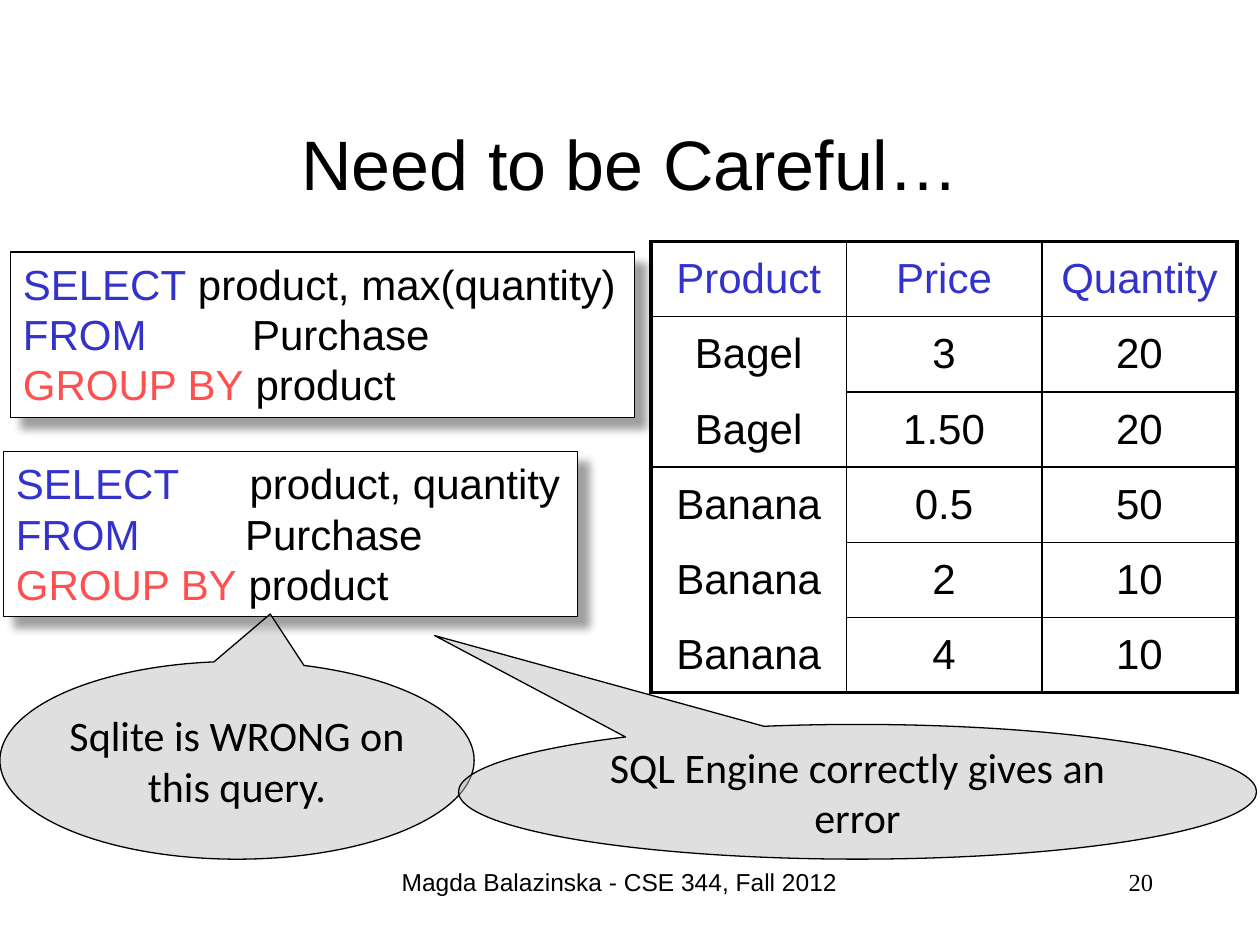
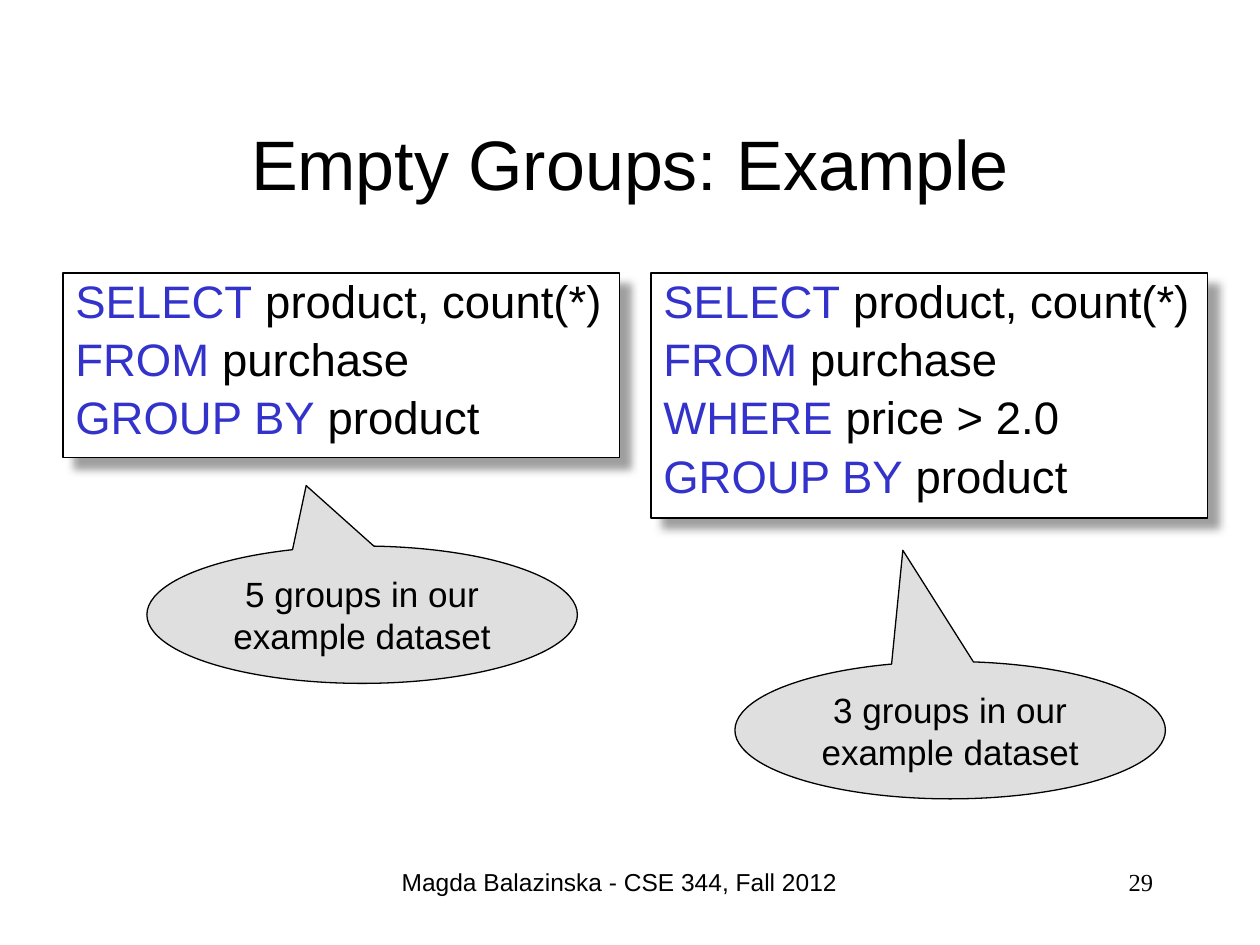
from lxml import etree
from pptx import Presentation
from pptx import util as u
from pptx.dml.color import RGBColor
from pptx.enum import shapes, text
from pptx.oxml import parse_xml
from pptx.oxml.ns import nsdecls, qn

Pt = u.Pt
BLACK = RGBColor(0x00, 0x00, 0x00)
WHITE = RGBColor(0xFF, 0xFF, 0xFF)
BLUE = RGBColor(0x33, 0x33, 0xCC)
RED = RGBColor(0xFF, 0x50, 0x50)
GRAY = RGBColor(0xC0, 0xC0, 0xC0)
CENTER, LEFT, RIGHT = text.PP_ALIGN.CENTER, text.PP_ALIGN.LEFT, text.PP_ALIGN.RIGHT
MIDDLE, TOP = text.MSO_ANCHOR.MIDDLE, text.MSO_ANCHOR.TOP
FOOTER = "Magda Balazinska - CSE 344, Fall 2012"
SHADOW = (
    f'<a:effectLst {nsdecls("a")}><a:outerShdw blurRad="{Pt(5)}" dist="{Pt(8.5)}" '
    'dir="2700000" algn="tl" rotWithShape="0"><a:srgbClr val="808080">'
    '<a:alpha val="75000"/></a:srgbClr></a:outerShdw></a:effectLst>'
)


def write(tf, content, size=24, font="Arial", color=BLACK, align=LEFT, anchor=TOP,
          line=None, before=0):
    """Fill a frame with one string, or with a list of paragraphs of (text, colour) runs."""
    paragraphs = [[(content, color)]] if isinstance(content, str) else content
    tf.word_wrap = True
    tf.vertical_anchor = anchor
    for i, runs in enumerate(paragraphs):
        p = tf.paragraphs[0] if i == 0 else tf.add_paragraph()
        p.alignment = align
        p.line_spacing = line
        p.space_before = Pt(before if i else 0)
        for words, run_color in runs:
            r = p.add_run()
            r.text = words
            r.font.size, r.font.name = Pt(size), font
            r.font.color.rgb = run_color


def add_outlined(s, kind, frame, fill):
    sp = s.shapes.add_shape(kind, *map(Pt, frame))
    sp.shadow.inherit = False
    sp.fill.solid()
    sp.fill.fore_color.rgb = fill
    sp.line.color.rgb = BLACK
    sp.line.width = Pt(0.75)
    return sp


# Query lines: keyword, its colour, the rest, tab stop in points (or None)
# Callouts: frame, tail position, words
SLIDES = [
    dict(
        title="Need to be Careful…", number="20",
        code=dict(size=24),
        queries=[
            ((6, 144, 356.5, 94.5), [("SELECT", BLUE, " product, max(quantity)", None),
                                     ("FROM", BLUE, "\tPurchase", 131),
                                     ("GROUP BY", RED, " product", None)]),
            ((2, 258, 328, 94.5), [("SELECT", BLUE, "\tproduct, quantity", 133.5),
                                   ("FROM", BLUE, "\tPurchase", 131),
                                   ("GROUP BY", RED, " product", None)]),
        ],
        speech=dict(size=24, font="Calibri"), inset=0,
        callouts=[
            ((0, 378, 271, 113), (0.07, -0.74), "Sqlite is WRONG on this query."),
            ((262, 414, 456, 77), (-0.53, -1.16), "SQL Engine correctly gives an error"),
        ],
    ),
    dict(
        title="Empty Groups: Example", number="29",
        code=dict(size=26, line=0.9, before=5.2),
        queries=[
            ((36, 156, 318, 105.5), [("SELECT", BLUE, " product, count(*)", None),
                                     ("FROM", BLUE, " purchase", None),
                                     ("GROUP BY", BLUE, " product", None)]),
            ((372, 156, 318, 140), [("SELECT", BLUE, " product, count(*)", None),
                                    ("FROM", BLUE, " purchase", None),
                                    ("WHERE", BLUE, " price > 2.0", None),
                                    ("GROUP BY", BLUE, " product", None)]),
        ],
        speech=dict(size=20), inset=None,
        callouts=[
            ((84, 312, 246, 78.5), (-0.13, -0.94), "5 groups in our example dataset"),
            ((420, 378, 246, 78.5), (-0.11, -1.31), "3 groups in our example dataset"),
        ],
    ),
]

PURCHASES = [
    ("Product", "Price", "Quantity"),
    ("Bagel", "3", "20"),
    ("Bagel", "1.50", "20"),
    ("Banana", "0.5", "50"),
    ("Banana", "2", "10"),
    ("Banana", "4", "10"),
]

prs = Presentation()
prs.slide_width, prs.slide_height = Pt(720), Pt(540)

for page in SLIDES:
    s = prs.slides.add_slide(prs.slide_layouts[5])
    title = s.shapes.title
    title.left, title.top, title.width, title.height = map(Pt, (54, 48, 612, 90))
    write(title.text_frame, page["title"], size=40, align=CENTER, anchor=MIDDLE)

    for frame, lines in page["queries"]:
        sp = add_outlined(s, shapes.MSO_SHAPE.RECTANGLE, frame, WHITE)
        effects = sp._element.spPr.find(qn("a:effectLst"))
        effects.getparent().replace(effects, parse_xml(SHADOW))
        tf = sp.text_frame
        write(tf, [[(keyword, color), (rest, BLACK)] for keyword, color, rest, _ in lines],
              **page["code"])
        for p, (*_, stop) in zip(tf.paragraphs, lines):
            if stop:
                tabs = etree.SubElement(p._p.get_or_add_pPr(), qn("a:tabLst"))
                etree.SubElement(tabs, qn("a:tab"), pos=str(Pt(stop)), algn="l")

    for frame, tail, words in page["callouts"]:
        sp = add_outlined(s, shapes.MSO_SHAPE.OVAL_CALLOUT, frame, GRAY)
        sp.adjustments[0], sp.adjustments[1] = tail
        fill_color = sp._element.spPr.find(qn("a:solidFill"))[0]
        etree.SubElement(fill_color, qn("a:alpha"), val="50000")
        tf = sp.text_frame
        if page["inset"] is not None:
            tf.margin_left = tf.margin_right = Pt(page["inset"])
            tf.margin_top = tf.margin_bottom = Pt(page["inset"])
        write(tf, words, align=CENTER, anchor=MIDDLE, **page["speech"])

    footer = s.shapes.add_textbox(Pt(222), Pt(492), Pt(264), Pt(36))
    write(footer.text_frame, FOOTER, size=14, align=CENTER)
    number = s.shapes.add_textbox(Pt(516), Pt(492), Pt(150), Pt(36))
    write(number.text_frame, page["number"], size=14, font="Times New Roman", align=RIGHT)

# Purchase table: heavy frame, thin grid, no rule between rows of the same product
n_rows, n_cols = len(PURCHASES), len(PURCHASES[0])
table = prs.slides[0].shapes.add_table(
    n_rows, n_cols, Pt(372), Pt(138), Pt(335), Pt(258)).table
table.first_row = table.horz_banding = False
products = [row[0] for row in PURCHASES]
for col in table.columns:
    col.width = Pt(111.67)
for i, row in enumerate(PURCHASES):
    table.rows[i].height = Pt(43)
    for j, value in enumerate(row):
        cell = table.cell(i, j)
        write(cell.text_frame, value, color=BLACK if i else BLUE, align=CENTER)
        cell.vertical_anchor = MIDDLE
        same_above = j == 0 and i > 0 and products[i - 1] == products[i]
        same_below = j == 0 and i < n_rows - 1 and products[i + 1] == products[i]
        borders = {
            "L": 2.25 if j == 0 else 1,
            "R": 2.25 if j == n_cols - 1 else 1,
            "T": 2.25 if i == 0 else 0 if same_above else 1,
            "B": 2.25 if i == n_rows - 1 else 0 if same_below else 1,
        }
        tcPr = cell._tc.get_or_add_tcPr()
        for side, width in borders.items():
            ln = etree.SubElement(tcPr, qn(f"a:ln{side}"), w=str(Pt(width)))
            if width:
                paint = etree.SubElement(ln, qn("a:solidFill"))
                etree.SubElement(paint, qn("a:srgbClr"), val=str(BLACK))
            else:
                etree.SubElement(ln, qn("a:noFill"))
        cell.fill.background()

prs.save("out.pptx")
